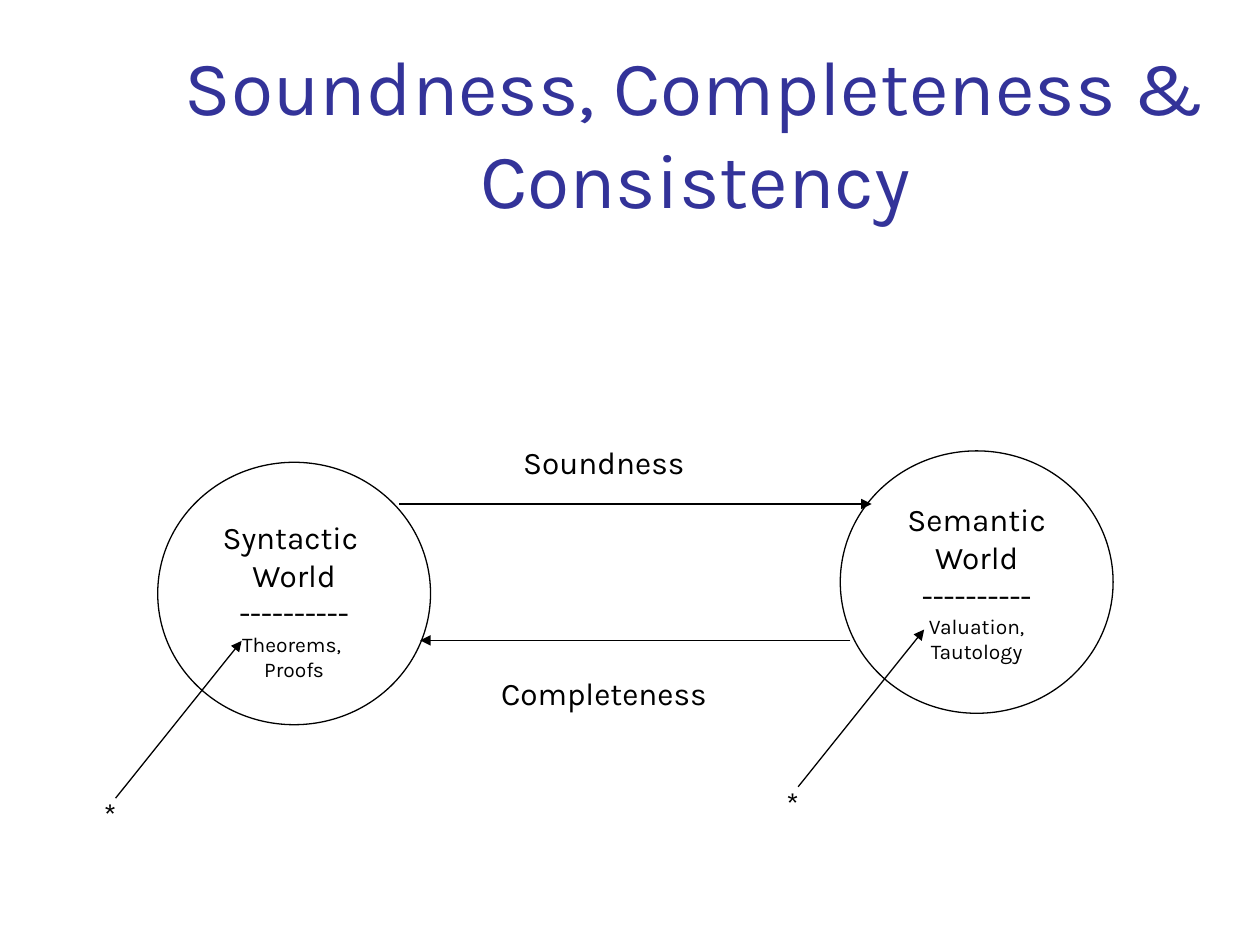
from lxml.etree import SubElement
from pptx import Presentation
from pptx.dml.color import RGBColor
from pptx.enum.shapes import MSO_CONNECTOR as Link, MSO_SHAPE as Preset
from pptx.enum.text import MSO_ANCHOR as Anchor, PP_ALIGN as Align
from pptx.oxml.ns import qn
from pptx.util import Cm, Pt

COLORS = {"title": "333399", "ink": "000000", "paper": "FFFFFF"}
FONT = "Karla"
LINE_WIDTH = Pt(0.75)

# Left and top of each world, its lines as (text, size), and a text drop in cm
WORLDS = [
    (3.18, 9.32, [("Syntactic ", 18), ("World", 18), ("----------", 18),
                  ("Theorems, ", 12), ("Proofs", 12)], 0.25),
    (16.94, 9.09, [("Semantic", 18), ("World", 18), ("----------", 18),
                   ("Valuation,", 12), ("Tautology", 12)], 0),
]
# Label, top of the label, then start and end of its arrow and the arrow's height
PROPERTIES = [
    ("Soundness", 8.68, 8.05, 17.57, 10.16),
    ("Completeness", 13.33, 17.14, 8.47, 12.91),
]


def color(key):
    return RGBColor.from_string(COLORS[key])


def write(frame, lines, ink="ink", drop=0, **frame_format):
    """Fill a text frame with one centred paragraph per (text, size)."""
    settings = {
        "word_wrap": False, "vertical_anchor": Anchor.MIDDLE,
        "margin_left": Cm(0.25), "margin_right": Cm(0.25),
        "margin_top": Cm(0.13 + drop), "margin_bottom": Cm(0.13),
    } | frame_format
    for name, value in settings.items():
        setattr(frame, name, value)
    for index, (text, size) in enumerate(lines):
        paragraph = frame.paragraphs[0] if index == 0 else frame.add_paragraph()
        paragraph.text = text
        paragraph.alignment = Align.CENTER
        for name, value in {"name": FONT, "size": Pt(size)}.items():
            for run in paragraph.runs:
                setattr(run.font, name, value)
        for run in paragraph.runs:
            run.font.color.rgb = color(ink)


def add_outline(slide, preset, box, outline, lines, drop=0):
    """Add an unfilled shape with text."""
    shape = slide.shapes.add_shape(preset, *map(Cm, box))
    shape.shadow.inherit = False
    shape.fill.background()
    shape.line.color.rgb = color(outline)
    shape.line.width = LINE_WIDTH
    write(shape.text_frame, lines, drop=drop)


def add_arrow(slide, *ends):
    """Add a line with a triangle at its far end."""
    arrow = slide.shapes.add_connector(Link.STRAIGHT, *map(Cm, ends))
    arrow.line.color.rgb = color("ink")
    arrow.line.width = LINE_WIDTH
    SubElement(arrow.line._get_or_add_ln(), qn("a:tailEnd"), type="triangle")
    SubElement(arrow._element.spPr, qn("a:effectLst"))


def add_title(slide, text):
    title = slide.shapes.add_textbox(Cm(3.2), Cm(0.58), Cm(21.64), Cm(4.06))
    write(title.text_frame, [(text, 44)], "title",
          word_wrap=True, vertical_anchor=Anchor.BOTTOM)


def add_star_pointer(slide, left, top):
    """Add the star below a world and the arrow from it to the world's content."""
    add_outline(slide, Preset.RECTANGLE, (left - 1.7, top + 6.56, 1.48, 1.06),
                "paper", [("*", 18)])
    add_arrow(slide, left - 0.85, top + 6.77, left + 1.69, top + 3.6)


def main():
    deck = Presentation()
    deck.slide_width, deck.slide_height = Cm(25.4), Cm(19.05)
    slide = deck.slides.add_slide(deck.slide_layouts[6])

    add_title(slide, "Soundness, Completeness &\vConsistency")

    # The two worlds
    for left, top, lines, drop in WORLDS:
        add_outline(slide, Preset.OVAL, (left, top, 5.5, 5.29), "ink", lines, drop)

    # The properties that link them
    for label, label_top, start, end, height in PROPERTIES:
        add_arrow(slide, start, height, end, height)
        add_outline(slide, Preset.RECTANGLE, (9.53, label_top, 5.29, 1.27),
                    "paper", [(label, 18)])

    # Stars that point into the worlds
    for left, top, *_ in WORLDS:
        add_star_pointer(slide, left, top)

    deck.save("out.pptx")


if __name__ == "__main__":
    main()
